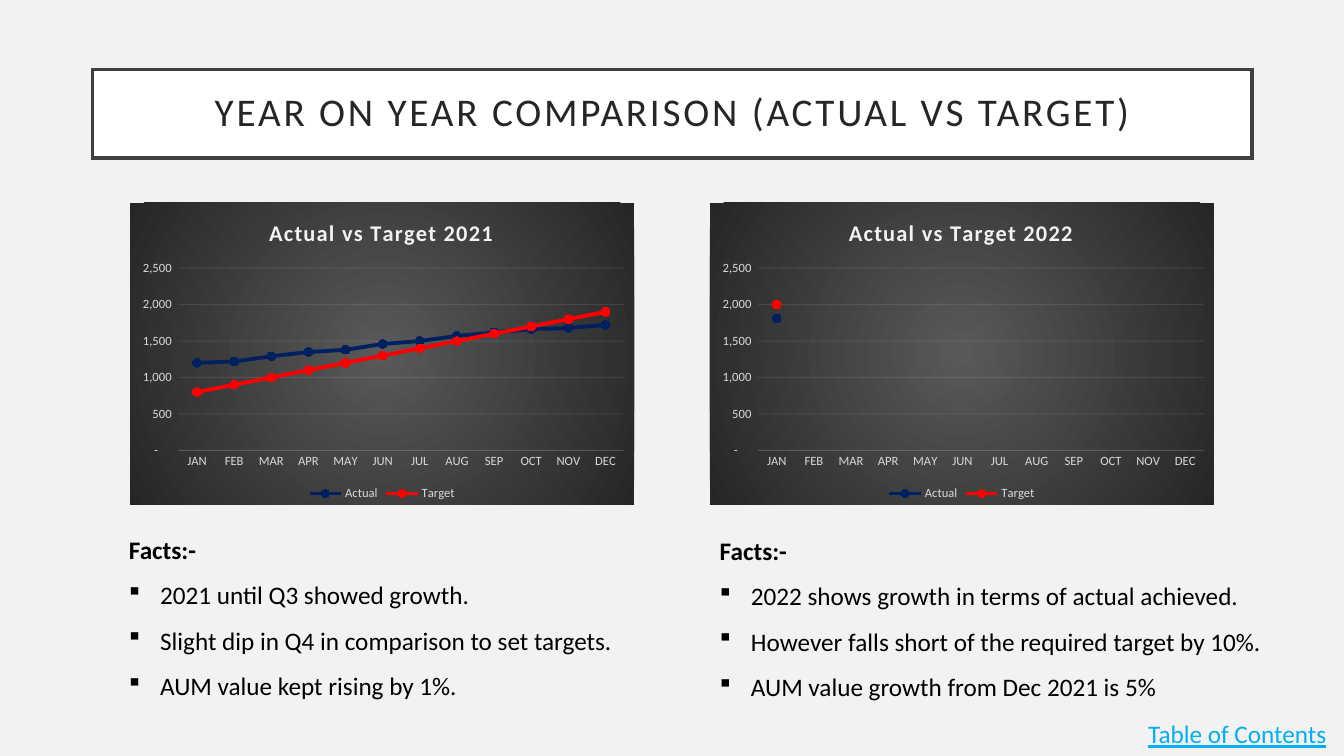
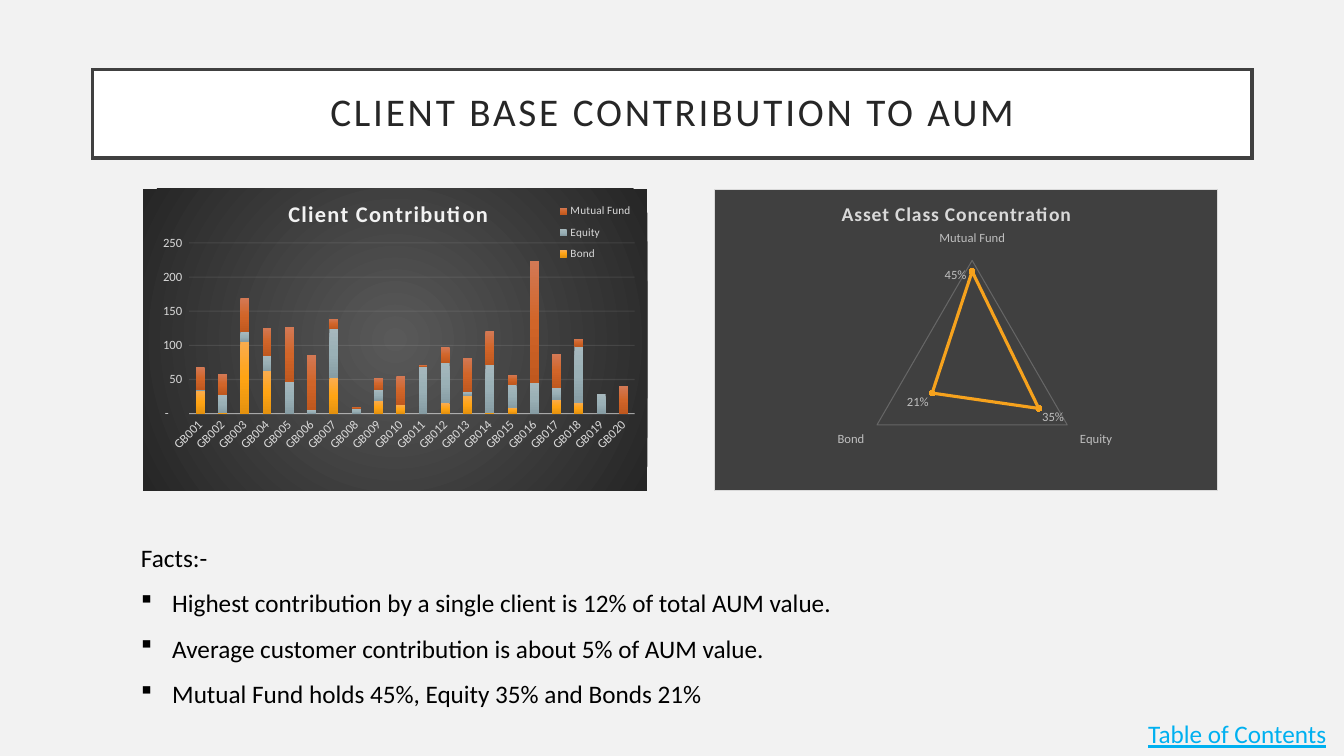
from dataclasses import dataclass
from typing import Any, Optional

from pptx import Presentation
from pptx.chart.data import CategoryChartData
from pptx.dml.color import RGBColor
from pptx.enum.chart import XL_CHART_TYPE, XL_LEGEND_POSITION, XL_MARKER_STYLE, XL_TICK_MARK
from pptx.enum.shapes import MSO_SHAPE
from pptx.enum.text import MSO_ANCHOR, MSO_AUTO_SIZE, PP_ALIGN
from pptx.oxml import parse_xml
from pptx.oxml.ns import nsdecls, qn
from pptx.util import Inches, Pt

FONT = "Calibri"
PAPER, WHITE, BLACK = "F2F2F2", "FFFFFF", "000000"
FRAME, TITLE, LINK = "404040", "262626", "00B0F0"
LABEL, SOFT_LABEL = "D9D9D9", "BFBFBF"
NAVY, RED, AMBER = "002060", "FF0000", "F6A21D"
AMOUNT = '_(* #,##0_);_(* \\(#,##0\\);_(* "-"??_);_('
CHART_W, CHART_H = 5, 3
MONTHS = ["JAN", "FEB", "MAR", "APR", "MAY", "JUN",
          "JUL", "AUG", "SEP", "OCT", "NOV", "DEC"]
CLIENTS = [f"GB{n:03d}" for n in range(1, 21)]
CIRCLE = ('<a:path path="circle"><a:fillToRect l="50000" t="50000" '
          'r="50000" b="50000"/></a:path>')
DOWNWARD = '<a:lin ang="5400000" scaled="0"/>'
BACKDROP = ["595959", "262626"]


@dataclass
class Series:
    name: str
    values: list
    colors: list[str]


@dataclass
class ChartSpec:
    kind: Any
    title: str
    left: float
    top: float
    categories: list[str]
    series: list[Series]
    title_at: tuple[float, float]
    plot_at: tuple[float, float, float, float]
    maximum: float
    major: float
    title_size: int = 16
    title_spacing: int = 100
    title_color: str = PAPER
    axis_color: str = LABEL
    axis_alpha: int = 10
    grid_color: str = PAPER
    grid_alpha: int = 10
    number_format: str = AMOUNT
    legend: Any = None
    legend_size: int = 9
    legend_at: Optional[tuple[float, float, float, float]] = None


@dataclass
class Facts:
    left: float
    top: float
    width: float
    bold: bool
    points: list[str]


def rgb(color: str) -> RGBColor:
    return RGBColor.from_string(color)


def style_font(font: Any, size: float, color: str, bold: bool = False) -> None:
    font.name, font.size, font.bold = FONT, Pt(size), bold
    font.color.rgb = rgb(color)


def gradient(colors: list[str], direction: str) -> str:
    last = len(colors) - 1
    stops = "".join(f'<a:gs pos="{100000 * i // last}"><a:srgbClr val="{c}"/></a:gs>'
                    for i, c in enumerate(colors))
    return (f'<a:gradFill {nsdecls("a")} rotWithShape="1"><a:gsLst>{stops}</a:gsLst>'
            f'{direction}</a:gradFill>')


def set_layout(parent: Any, index: int, percents: tuple, inner: bool = False,
               offset: bool = False) -> None:
    for old in parent.findall(qn("c:layout")):
        parent.remove(old)
    target = '<c:layoutTarget val="inner"/>' if inner else ""
    modes = "" if offset else '<c:xMode val="edge"/><c:yMode val="edge"/>'
    sizes = "".join(f'<c:{tag} val="{v / 100:.3f}"/>' for tag, v in zip("xywh", percents))
    parent.insert(index, parse_xml(
        f'<c:layout {nsdecls("c")}><c:manualLayout>{target}{modes}{sizes}'
        f'</c:manualLayout></c:layout>'))


def set_alpha(element: Any, query: str, percent: int) -> None:
    for color in element.xpath(query):
        color.append(parse_xml(f'<a:alpha {nsdecls("a")} val="{percent * 1000}"/>'))


def set_background(chart: Any, fill: str, line: str) -> None:
    space = chart._chartSpace
    if space.find(qn("c:roundedCorners")) is None:
        space.find(qn("c:date1904")).addnext(
            parse_xml(f'<c:roundedCorners {nsdecls("c")} val="0"/>'))
    space.find(qn("c:chart")).addnext(parse_xml(
        f'<c:spPr {nsdecls("c", "a")}>{fill}<a:ln w="9525">{line}</a:ln></c:spPr>'))


def solid(color: str) -> str:
    return f'<a:solidFill><a:srgbClr val="{color}"/></a:solidFill>'


def style_axes(chart: Any, spec: ChartSpec) -> None:
    category, value = chart.category_axis, chart.value_axis
    for axis in (category, value):
        axis.major_tick_mark = axis.minor_tick_mark = XL_TICK_MARK.NONE
        style_font(axis.tick_labels.font, 9, spec.axis_color)
    category.has_major_gridlines = False
    category.format.line.color.rgb = rgb(PAPER)
    category.format.line.width = Pt(0.75)
    value.minimum_scale, value.maximum_scale = 0, spec.maximum
    value.major_unit = spec.major
    value.format.line.fill.background()
    value.has_major_gridlines = True
    value.major_gridlines.format.line.color.rgb = rgb(spec.grid_color)
    value.major_gridlines.format.line.width = Pt(0.75)
    value.tick_labels.number_format = spec.number_format
    value.tick_labels.number_format_is_linked = False
    space = chart._chartSpace
    set_alpha(space, ".//c:majorGridlines//a:srgbClr", spec.grid_alpha)
    set_alpha(space, ".//c:catAx/c:spPr//a:srgbClr", spec.axis_alpha)


def style_line(series: Any, color: str, width: float, marker_size: int) -> None:
    series.format.line.color.rgb = rgb(color)
    series.format.line.width = Pt(width)
    marker = series.marker
    marker.style, marker.size = XL_MARKER_STYLE.CIRCLE, marker_size
    marker.format.fill.solid()
    marker.format.fill.fore_color.rgb = rgb(color)
    marker.format.line.color.rgb = rgb(color)


def style_bars(chart: Any, spec: ChartSpec) -> None:
    plot = chart.plots[0]
    plot.gap_width, plot.overlap = 150, 100
    for series, item in zip(plot.series, spec.series):
        series.format.fill.solid()
        old = series._element.xpath("c:spPr/a:solidFill")[0]
        old.getparent().replace(old, parse_xml(gradient(item.colors, DOWNWARD)))
    body = chart.category_axis._element.xpath("c:txPr/a:bodyPr")[0]
    body.set("rot", "-2700000")
    body.set("vert", "horz")


def style_radar(chart: Any) -> None:
    chart.value_axis.visible = False
    chart.category_axis.format.line.fill.background()
    series = chart.plots[0].series[0]
    style_line(series, AMBER, 2.25, 4)
    labels = series.data_labels
    labels.show_value = True
    labels.number_format, labels.number_format_is_linked = "0%", False
    style_font(labels.font, 9, SOFT_LABEL)
    style_font(series.points[0].data_label.font, 9, SOFT_LABEL)
    set_layout(series._element.xpath("c:dLbls/c:dLbl")[0], 1, (-3.3, 6.3), offset=True)


def add_chart(s: Any, spec: ChartSpec) -> None:
    radar = spec.kind == XL_CHART_TYPE.RADAR_MARKERS
    data = CategoryChartData(number_format="0%" if radar else "General")
    data.categories = spec.categories
    for item in spec.series:
        data.add_series(item.name, item.values)
    chart = s.shapes.add_chart(spec.kind, Inches(spec.left), Inches(spec.top),
                               Inches(CHART_W), Inches(CHART_H), data).chart
    style_font(chart.font, 10, BLACK)
    chart.plots[0].vary_by_categories = False
    chart.has_title = True
    r = chart.chart_title.text_frame.paragraphs[0].add_run()
    r.text = spec.title
    style_font(r.font, spec.title_size, spec.title_color, True)
    r.font._element.set("spc", str(spec.title_spacing))
    set_layout(chart.chart_title._element, 1, spec.title_at)
    set_layout(chart._chartSpace.xpath("c:chart/c:plotArea")[0], 0, spec.plot_at, inner=True)
    style_axes(chart, spec)
    chart.has_legend = spec.legend is not None
    if chart.has_legend:
        chart.legend.position = spec.legend
        chart.legend.include_in_layout = False
        style_font(chart.legend.font, spec.legend_size, LABEL)
        if spec.legend_at:
            set_layout(chart.legend._element, 1, spec.legend_at)
    if radar:
        set_background(chart, solid(FRAME), solid(LABEL))
        style_radar(chart)
        return
    set_background(chart, gradient(BACKDROP, CIRCLE), "<a:noFill/>")
    if spec.kind == XL_CHART_TYPE.COLUMN_STACKED:
        style_bars(chart, spec)
        return
    for series, item in zip(chart.plots[0].series, spec.series):
        series.smooth = False
        style_line(series, item.colors[0], 2.75, 6)


def add_text_box(s: Any, left: float, top: float, width: float, height: float) -> Any:
    tf = s.shapes.add_textbox(Inches(left), Inches(top),
                              Inches(width), Inches(height)).text_frame
    tf.word_wrap = False
    tf.auto_size = MSO_AUTO_SIZE.SHAPE_TO_FIT_TEXT
    return tf


def add_facts(s: Any, facts: Facts) -> None:
    tf = add_text_box(s, facts.left, facts.top, facts.width, 1.87)
    for i, text in enumerate(["Facts:-"] + facts.points):
        p = tf.add_paragraph() if i else tf.paragraphs[0]
        p.line_spacing = 1.5
        r = p.add_run()
        r.text = text
        style_font(r.font, 18, BLACK, facts.bold and i == 0)
        if i:
            pPr = p._p.get_or_add_pPr()
            pPr.set("marL", str(Inches(0.31)))
            pPr.set("indent", str(-Inches(0.31)))
            pPr.append(parse_xml(f'<a:buFont {nsdecls("a")} typeface="Wingdings" '
                                 'pitchFamily="2" charset="2"/>'))
            pPr.append(parse_xml(f'<a:buChar {nsdecls("a")} char="§"/>'))


def add_slide(prs: Any, title: str, charts: list[ChartSpec], facts: list[Facts]) -> None:
    s = prs.slides.add_slide(prs.slide_layouts[6])
    s.background.fill.solid()
    s.background.fill.fore_color.rgb = rgb(PAPER)
    sp = s.shapes.add_shape(MSO_SHAPE.RECTANGLE, Inches(0.92), Inches(0.69),
                            Inches(11.5), Inches(0.88))
    sp.shadow.inherit = False
    sp.fill.solid()
    sp.fill.fore_color.rgb = rgb(WHITE)
    sp.line.color.rgb = rgb(FRAME)
    sp.line.width = Pt(2.5)
    sp._element.spPr.find(qn("a:ln")).append(
        parse_xml(f'<a:miter {nsdecls("a")} lim="800000"/>'))
    tf = sp.text_frame
    tf.word_wrap, tf.vertical_anchor = True, MSO_ANCHOR.MIDDLE
    tf.margin_left = tf.margin_right = tf.margin_top = tf.margin_bottom = Inches(0.2)
    p = tf.paragraphs[0]
    p.alignment, p.line_spacing = PP_ALIGN.CENTER, 0.9
    r = p.add_run()
    r.text = title
    style_font(r.font, 28, TITLE)
    r.font._element.set("spc", "200")
    for spec in charts:
        add_chart(s, spec)
    for item in facts:
        add_facts(s, item)
    r = add_text_box(s, 11.29, 7.08, 2.03, 0.4).paragraphs[0].add_run()
    r.text = "Table of Contents"
    style_font(r.font, 18, LINK)
    r.font.underline = True


def year_chart(year: int, left: float, actual: list, target: list) -> ChartSpec:
    return ChartSpec(XL_CHART_TYPE.LINE_MARKERS, f"Actual vs Target {year}", left, 2.01, MONTHS,
                     [Series("Actual", actual, [NAVY]), Series("Target", target, [RED])],
                     (26.8, 3.7), (9.6, 21.7, 88.4, 60.3), 2500, 500,
                     legend=XL_LEGEND_POSITION.BOTTOM)


def main() -> None:
    prs = Presentation()
    prs.slide_width, prs.slide_height = Inches(13.33), Inches(7.5)
    unknown = [None] * 11
    add_slide(prs, "YEAR ON YEAR COMPARISON (ACTUAL VS TARGET)", [
        year_chart(2021, 1.29, [1200, 1220, 1290, 1350, 1380, 1460, 1500, 1570,
                                1620, 1660, 1680, 1720], list(range(800, 2000, 100))),
        year_chart(2022, 7.04, [1810] + unknown, [2000] + unknown),
    ], [
        Facts(1.18, 5.1, 5.11, True, [
            "2021 until Q3 showed growth.", "Slight dip in Q4 in comparison to set targets.",
            "AUM value kept rising by 1%."]),
        Facts(7.04, 5.11, 5.67, True, [
            "2022 shows growth in terms of actual achieved.",
            "However falls short of the required target by 10%.",
            "AUM value growth from Dec 2021 is 5%"]),
    ])
    holdings = [
        Series("Bond", [34, 1, 106, 62, 0, 0, 52, 0, 19, 13, 0, 15, 27, 1, 9, 0, 21, 16, 0, 0],
               ["FAAC4F", "FFA414", "E5920F"]),
        Series("Equity", [1, 27, 13, 23, 47, 5, 72, 8, 16, 0, 69, 59, 5, 70, 34, 45, 17, 83, 29, 0],
               ["A6B8BD", "9AB0B6", "879DA4"]),
        Series("Mutual Fund", [33, 30, 50, 41, 80, 81, 15, 2, 17, 42,
                               2, 23, 50, 50, 14, 179, 49, 11, 0, 40],
               ["D37955", "D16529", "C0581E"]),
    ]
    add_slide(prs, "CLIENT BASE CONTRIBUTION TO AUM", [
        ChartSpec(XL_CHART_TYPE.COLUMN_STACKED, "Client Contribution", 1.42, 1.87, CLIENTS,
                  holdings, (28, 2), (9.1, 18, 88.4, 56.5), 250, 50, axis_alpha=54,
                  legend=XL_LEGEND_POSITION.RIGHT, legend_size=8,
                  legend_at=(81.7, 2.8, 16, 23.5)),
        ChartSpec(XL_CHART_TYPE.RADAR_MARKERS, "Asset Class Concentration", 7.08, 1.87,
                  ["Mutual Fund", "Equity", "Bond"],
                  [Series("Series 1", [0.45, 0.35, 0.21], [AMBER])],
                  (24.6, 2.7), (29.4, 23.7, 43.7, 72.8), 0.5, 0.5, title_size=14,
                  title_spacing=50, title_color=LABEL, axis_color=SOFT_LABEL,
                  grid_color=WHITE, grid_alpha=20, number_format="0%"),
    ], [
        Facts(1.3, 5.18, 7.18, False, [
            "Highest contribution by a single client is 12% of total AUM value.",
            "Average customer contribution is about 5% of AUM value.",
            "Mutual Fund holds 45%, Equity 35% and Bonds 21%"]),
    ])
    prs.save("out.pptx")


if __name__ == "__main__":
    main()
